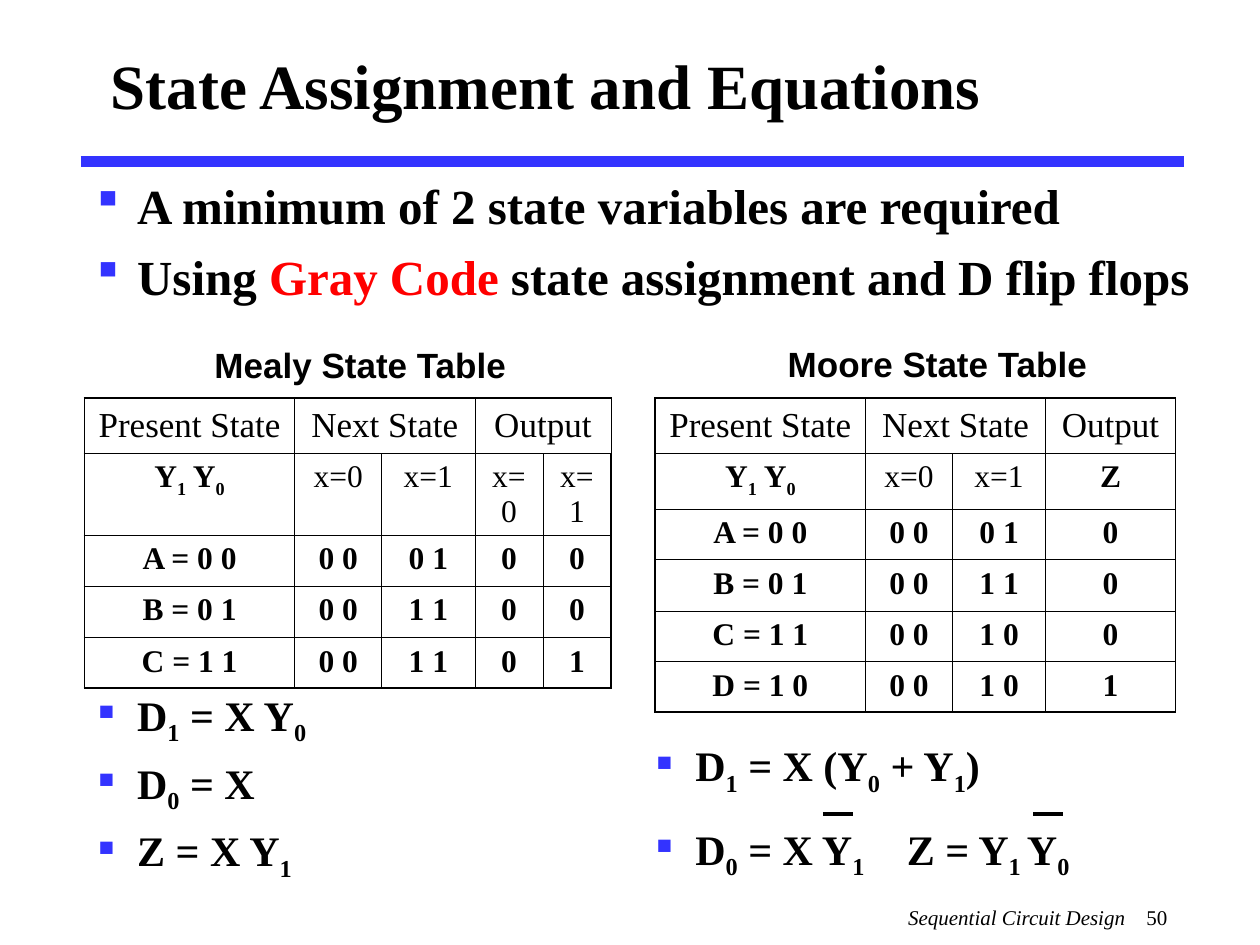
"""Build the slide on state assignment and equations."""
from typing import Any, NamedTuple

import pptx
import pptx.dml.color
import pptx.enum.shapes
import pptx.enum.text
import pptx.oxml
import pptx.oxml.ns
import pptx.util

COLOURS = {"ink": "000000", "accent": "3333FF", "highlight": "FF0000", "paper": "FFFFFF"}
SERIF, SANS = "Times New Roman", "Arial"
SLIDE_WIDTH, SLIDE_HEIGHT = pptx.util.Inches(10), pptx.util.Inches(7.5)
COLUMN, ROW = SLIDE_WIDTH // 1000, SLIDE_HEIGHT // 750
THIN, THICK = 0.45, 1.08
INDENT = 32
CENTRE = pptx.enum.text.PP_ALIGN.CENTER
TOP, MIDDLE = pptx.enum.text.MSO_ANCHOR.TOP, pptx.enum.text.MSO_ANCHOR.MIDDLE


class Box(NamedTuple):
    left: int
    top: int
    width: int
    height: int

    def lengths(self) -> tuple[int, ...]:
        return (self.left * COLUMN, self.top * ROW, self.width * COLUMN, self.height * ROW)


class Rule(NamedTuple):
    start: int
    end: int
    level: int
    weight: float
    colour: str


class StateTable(NamedTuple):
    caption: str
    caption_box: Box
    box: Box
    column_widths: list[int]
    headings: list[str]
    states: list[list[str]]
    spans: list[int]


def rgb(name: str) -> pptx.dml.color.RGBColor:
    return pptx.dml.color.RGBColor.from_string(COLOURS[name])


def add_xml(parent: Any, markup: str) -> None:
    namespaces = pptx.oxml.ns.nsdecls("a")
    parent.append(pptx.oxml.parse_xml(markup.replace(" ", f" {namespaces} ", 1)))


def write(frame: Any, text: str, *, size: float, font: str = SERIF, bold: bool = False,
          italic: bool = False, align: Any = None, bullet: bool = False,
          space: float = 0, tab: int = 0) -> None:
    """Write lines, with ~subscript~, |highlight| and ^upright^ marking runs."""
    for number, line in enumerate(text.split("\n")):
        paragraph = frame.add_paragraph() if number else frame.paragraphs[0]
        properties = paragraph._p.get_or_add_pPr()
        if align is not None:
            paragraph.alignment = align
        if number:
            paragraph.space_before = pptx.util.Pt(space)
        if bullet:
            properties.set("marL", str(INDENT * COLUMN))
            properties.set("indent", str(-INDENT * COLUMN))
            add_xml(properties, f'<a:buClr ><a:srgbClr val="{COLOURS["accent"]}"/></a:buClr>')
            add_xml(properties, '<a:buFont typeface="Wingdings" charset="2"/>')
            add_xml(properties, '<a:buChar char="§"/>')
        if tab:
            add_xml(properties, f'<a:tabLst ><a:tab pos="{tab * COLUMN}" algn="l"/></a:tabLst>')
        marks = {"~": False, "|": False, "^": False}
        for piece in split_marks(line, marks):
            if piece in marks:
                marks[piece] = not marks[piece]
                continue
            run = paragraph.add_run()
            run.text = piece
            run.font.size, run.font.name = pptx.util.Pt(size), font
            run.font.bold, run.font.italic = bold, italic and not marks["^"]
            run.font.color.rgb = rgb("highlight" if marks["|"] else "ink")
            if marks["~"]:
                run._r.get_or_add_rPr().set("baseline", "-25000")


def split_marks(line: str, marks: dict[str, bool]) -> list[str]:
    for mark in marks:
        line = line.replace(mark, f"\n{mark}\n")
    return [piece for piece in line.split("\n") if piece]


def add_text(shapes: Any, box: Box, text: str, *, anchor: Any = TOP,
             inset: bool = True, **style: Any) -> None:
    frame = shapes.add_textbox(*box.lengths()).text_frame
    frame.word_wrap, frame.vertical_anchor = True, anchor
    if not inset:
        frame.margin_left = frame.margin_right = frame.margin_top = frame.margin_bottom = 0
    write(frame, text, **style)


def add_rule(shapes: Any, rule: Rule) -> None:
    line = shapes.add_connector(
        pptx.enum.shapes.MSO_CONNECTOR.STRAIGHT, rule.start * COLUMN, rule.level * ROW,
        rule.end * COLUMN, rule.level * ROW)
    line.line.width = pptx.util.Pt(rule.weight)
    line.line.color.rgb = rgb(rule.colour)
    add_xml(line._element.spPr, "<a:effectLst />")


def add_borders(cell: Any, weights: dict[str, float]) -> None:
    for side, weight in weights.items():
        add_xml(cell._tc.get_or_add_tcPr(),
                f'<a:ln{side} w="{pptx.util.Pt(weight)}"><a:solidFill>'
                f'<a:srgbClr val="{COLOURS["ink"]}"/></a:solidFill></a:ln{side}>')


def add_state_table(shapes: Any, content: StateTable) -> None:
    rows = [["Present State", "Next State", "", "Output", ""][:len(content.column_widths)],
            content.headings, *content.states]
    last_row, last_column = len(rows) - 1, len(content.column_widths) - 1
    table = shapes.add_table(last_row + 1, last_column + 1, *content.box.lengths()).table
    table.first_row = table.horz_banding = False
    for column, width in zip(table.columns, content.column_widths):
        column.width = width * COLUMN
    for row, height in zip(table.rows, [44, 44, 40, 41, 40, 40]):
        row.height = height * ROW
    for start in content.spans:
        table.cell(0, start).merge(table.cell(0, start + 1))
    for r, texts in enumerate(rows):
        for c, text in enumerate(texts):
            cell = table.cell(r, c)
            input_heading = text.startswith("x=")
            add_borders(cell, {"L": THIN if c else THICK,
                               "R": THICK if c == last_column else THIN,
                               "T": THIN if r else THICK,
                               "B": THICK if r == last_row else THIN})
            cell.fill.solid()
            cell.fill.fore_color.rgb = rgb("paper")
            cell.vertical_anchor = TOP if r else MIDDLE
            if input_heading:
                cell.margin_bottom = 0
            write(cell.text_frame, text, size=18 if r else 20, align=CENTRE,
                  bold=r > 0 and not input_heading)
    add_text(shapes, content.caption_box, content.caption, inset=False,
             size=20, font=SANS, bold=True, align=CENTRE)


STATE_VARIABLES = "Y~1~ Y~0~"
MOORE = StateTable(
    "Moore State Table", Box(579, 272, 330, 33), Box(520, 316, 413, 250),
    [167, 69, 74, 103], [STATE_VARIABLES, "x=0", "x=1", "Z"],
    [["A = 0 0", "0 0", "0 1", "0"], ["B = 0 1", "0 0", "1 1", "0"],
     ["C = 1 1", "0 0", "1 0", "0"], ["D = 1 0", "0 0", "1 0", "1"]], [1])
MEALY = StateTable(
    "Mealy State Table", Box(121, 273, 330, 33), Box(67, 316, 418, 210),
    [167, 69, 74, 54, 54], [STATE_VARIABLES, "x=0", "x=1", "x=0", "x=1"],
    [["A = 0 0", "0 0", "0 1", "0", "0"], ["B = 0 1", "0 0", "1 1", "0", "0"],
     ["C = 1 1", "0 0", "1 1", "0", "1"]], [1, 3])
COMPLEMENT_BARS = [Rule(start, start + 24, 646, 2.25, "ink") for start in (653, 820)]


def main() -> None:
    deck = pptx.Presentation()
    deck.slide_width, deck.slide_height = SLIDE_WIDTH, SLIDE_HEIGHT
    shapes = deck.slides.add_slide(deck.slide_layouts[6]).shapes
    add_rule(shapes, Rule(64, 940, 128, 6, "accent"))
    add_text(shapes, Box(711, 713, 233, 37), "Sequential Circuit Design\t^50^",
             size=12, italic=True, tab=189)
    add_text(shapes, Box(78, 11, 850, 112), "State Assignment and Equations",
             anchor=MIDDLE, size=36, bold=True)
    add_text(shapes, Box(67, 134, 891, 128),
             "A minimum of 2 state variables are required\n"
             "Using |Gray Code| state assignment and D flip flops",
             size=28, bold=True, bullet=True, space=7)
    for content in (MOORE, MEALY):
        add_state_table(shapes, content)
    add_text(shapes, Box(67, 542, 217, 148), "D~1~ = X Y~0~\nD~0~ = X\nZ = X Y~1~",
             size=24, bold=True, bullet=True, space=6)
    moore_equations = shapes.add_group_shape().shapes
    add_text(moore_equations, Box(510, 582, 423, 108),
             "D~1~ = X (Y~0~ + Y~1~)\nD~0~ = X Y~1\t~Z = Y~1 ~Y~0~",
             size=24, bold=True, bullet=True, space=15, tab=200)
    for bar in COMPLEMENT_BARS:
        add_rule(moore_equations, bar)
    deck.save("out.pptx")


if __name__ == "__main__":
    main()
